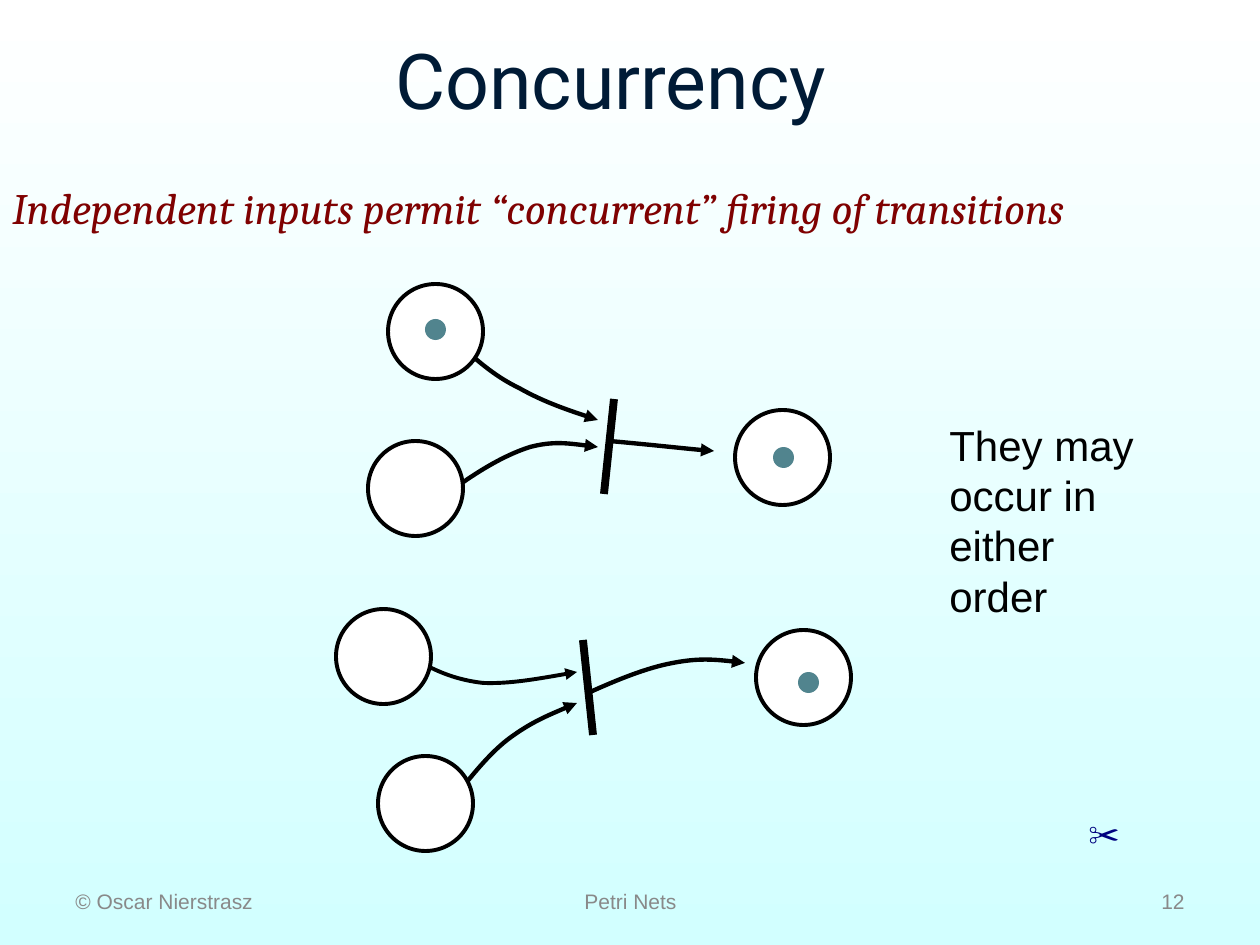
"""Build the Petri net concurrency slide."""
from lxml import etree
from pptx import Presentation
from pptx.dml.color import RGBColor
from pptx.enum.shapes import MSO_CONNECTOR, MSO_SHAPE
from pptx.enum.text import MSO_ANCHOR, PP_ALIGN
from pptx.oxml.ns import qn
from pptx.util import Emu, Pt

LEFT, CENTER, RIGHT = PP_ALIGN.LEFT, PP_ALIGN.CENTER, PP_ALIGN.RIGHT
TOP, MIDDLE = MSO_ANCHOR.TOP, MSO_ANCHOR.MIDDLE
OVAL = MSO_SHAPE.OVAL
STRAIGHT = MSO_CONNECTOR.STRAIGHT

BLACK = RGBColor(0x00, 0x00, 0x00)
WHITE = RGBColor(0xFF, 0xFF, 0xFF)
AQUA = RGBColor(0xD2, 0xFF, 0xFF)
NAVY = RGBColor(0x00, 0x1B, 0x36)
BLUE = RGBColor(0x00, 0x02, 0x7F)
DARK_RED = RGBColor(0x7F, 0x01, 0x01)
GRAY = RGBColor(0x89, 0x89, 0x89)
TEAL = RGBColor(0x51, 0x84, 0x8E)

SCALE = 914400 / 126


def emu(*lengths):
    return [Emu(round(length * SCALE)) for length in lengths]


def write_text(shape, text, size, color, font="Arial", align=LEFT, anchor=TOP,
               italic=False, wrap=True):
    frame = shape.text_frame
    frame.word_wrap = wrap
    frame.vertical_anchor = anchor
    frame.text = text
    for paragraph in frame.paragraphs:
        paragraph.alignment = align
        paragraph.font.size = Pt(size)
        paragraph.font.name = font
        paragraph.font.italic = italic
        paragraph.font.color.rgb = color


presentation = Presentation()
presentation.slide_width, presentation.slide_height = emu(1260, 945)
slide = presentation.slides.add_slide(presentation.slide_layouts[5])
shapes = slide.shapes

background = slide.background.fill
background.gradient()
background.gradient_angle = 270
for stop, color, position in zip(background.gradient_stops, (WHITE, AQUA), (0, 1)):
    stop.color.rgb = color
    stop.position = position

title = shapes.title
title.left, title.top, title.width, title.height = emu(44, 0, 1134, 158)
write_text(title, "Concurrency", 44, NAVY, font="Roboto", align=CENTER, anchor=MIDDLE)

text_boxes = [
    ((63, 876, 294, 50), "© Oscar Nierstrasz", 12, GRAY, {"anchor": MIDDLE}),
    ((431, 876, 399, 50), "Petri Nets", 12, GRAY, {"align": CENTER, "anchor": MIDDLE}),
    ((903, 876, 294, 50), "12", 12, GRAY, {"align": RIGHT, "anchor": MIDDLE}),
    ((0, 175, 1111, 81), "Independent inputs permit “concurrent” firing of transitions",
     24.8, DARK_RED, {"font": "Cambria", "italic": True}),
    ((1076, 809, 34, 50), "✂", 18, BLUE, {"wrap": False}),
    ((937, 413, 238, 214), "They may\noccur in either\norder", 24, BLACK, {}),
]
for box, text, size, color, options in text_boxes:
    write_text(shapes.add_textbox(*emu(*box)), text, size, color, **options)

arcs = [
    (2.25, [(420, 662), (438, 672), (457, 680), (483, 683),
            (509, 684), (543, 678), (577, 672)]),
    (2.5, [(462, 788), (479, 767), (495, 748), (514, 735),
           (534, 721), (556, 712), (577, 703)]),
    (2.5, [(462, 483), (485, 467), (508, 454), (530, 447),
           (553, 441), (575, 444), (598, 447)]),
    (2.5, [(462, 347), (479, 362), (496, 377), (519, 388),
           (542, 401), (570, 411), (598, 420)]),
    (2.5, [(609, 441), (653, 445), (697, 450), (714, 451)]),
    (2.5, [(588, 693), (617, 680), (646, 668), (673, 663),
           (699, 658), (722, 660), (745, 663)]),
]
for width, points in arcs:
    builder = shapes.build_freeform(*points[0], scale=SCALE)
    builder.add_line_segments(points[1:], close=False)
    arc = builder.convert_to_shape()
    outline = next(arc.element.iter(qn("a:path")))
    segments = outline.findall(qn("a:lnTo"))
    for start in range(0, len(segments), 3):
        curve = etree.SubElement(outline, qn("a:cubicBezTo"))
        for segment in segments[start:start + 3]:
            curve.append(segment[0])
            outline.remove(segment)
    arc.shadow.inherit = False
    arc.fill.background()
    arc.line.color.rgb = BLACK
    arc.line.width = Pt(width)
    line_element = arc.element.spPr.find(qn("a:ln"))
    etree.SubElement(line_element, qn("a:tailEnd"), type="triangle")

places = [(388, 284), (368, 441), (336, 609), (378, 756), (735, 410), (756, 630)]
for left, top in places:
    place = shapes.add_shape(OVAL, *emu(left, top, 95, 95))
    place.shadow.inherit = False
    place.fill.solid()
    place.fill.fore_color.rgb = WHITE
    place.line.color.rgb = BLACK
    place.line.width = Pt(2.25)

for left, top in [(425, 319), (773, 447), (798, 672)]:
    token = shapes.add_shape(OVAL, *emu(left, top, 21, 21))
    token.shadow.inherit = False
    token.fill.solid()
    token.fill.fore_color.rgb = TEAL
    token.line.fill.background()

for ends in [(614, 399, 604, 494), (583, 640, 593, 735)]:
    transition = shapes.add_connector(STRAIGHT, *emu(*ends))
    transition.line.color.rgb = BLACK
    transition.line.width = Pt(4.5)
    etree.SubElement(transition.element.spPr, qn("a:effectLst"))

presentation.save("out.pptx")
